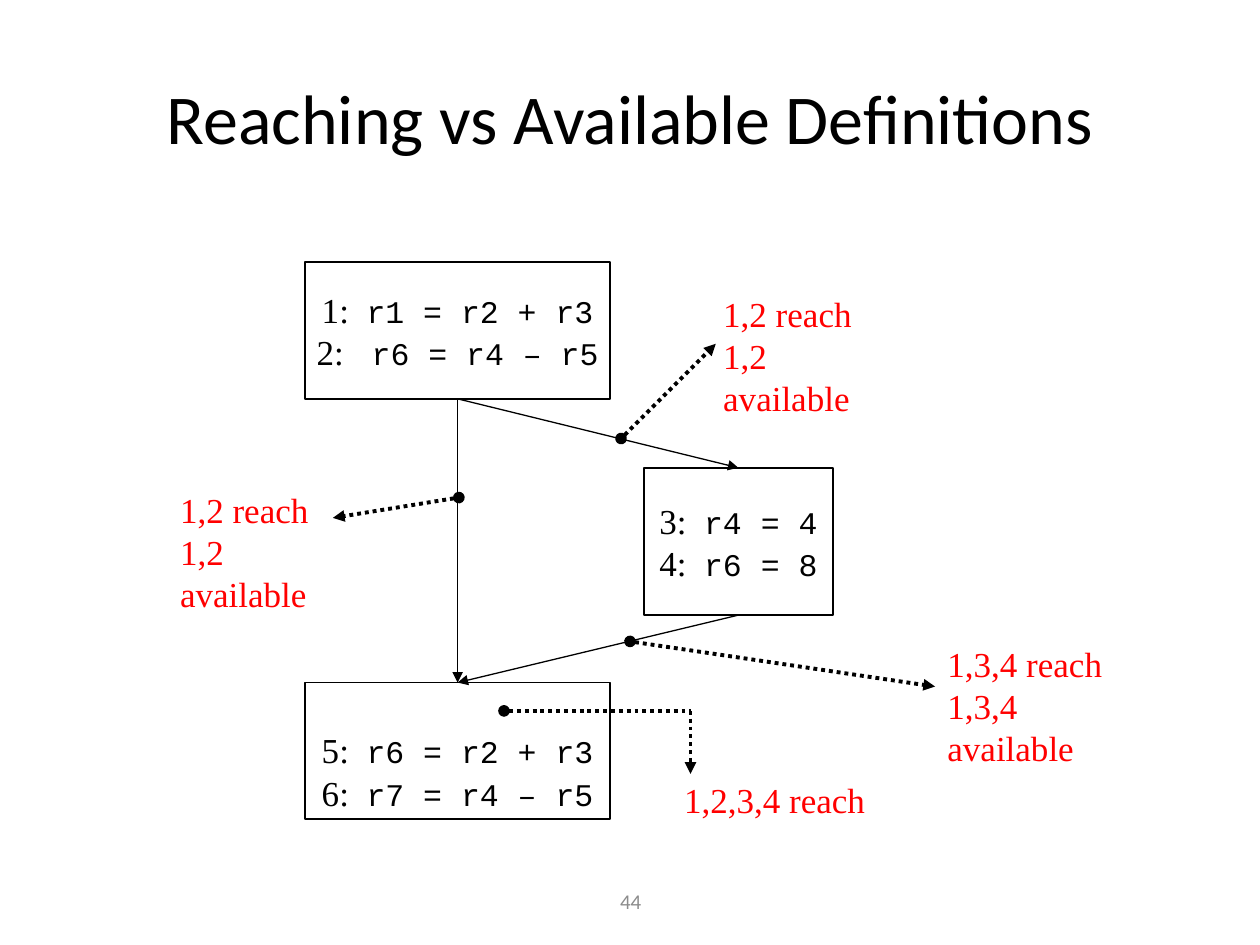
from lxml import etree
from pptx import Presentation
from pptx.dml.color import RGBColor
from pptx.enum.dml import MSO_LINE
from pptx.enum.shapes import MSO_CONNECTOR, MSO_SHAPE
from pptx.enum.text import MSO_ANCHOR, PP_ALIGN
from pptx.oxml.ns import qn
from pptx.util import Cm, Pt

STRAIGHT = MSO_CONNECTOR.STRAIGHT
RECTANGLE = MSO_SHAPE.RECTANGLE
DOTTED = MSO_LINE.ROUND_DOT
MIDDLE = MSO_ANCHOR.MIDDLE
TOP_ANCHOR = MSO_ANCHOR.TOP
CENTER = PP_ALIGN.CENTER
LEFT = PP_ALIGN.LEFT
TOP_SIDE, BOTTOM_SIDE = 0, 2


def color(value):
    return RGBColor.from_string(value)


class FlowSlide:
    """Style of the flow diagram and the slide it is drawn on."""

    heading_font = "Calibri"
    label_font = "Times New Roman"
    code_font = "Courier New"
    ink = "000000"
    accent = "FF0000"
    muted = "8C8C8C"

    def __init__(self, slide):
        self.slide = slide

    def format_run(self, run, font, size, ink):
        run.font.name = font
        run.font.size = Pt(size)
        run.font.color.rgb = color(ink)

    def title(self, text, left, top, width, height):
        shape = self.slide.shapes.title
        shape.left, shape.top = Cm(left), Cm(top)
        shape.width, shape.height = Cm(width), Cm(height)
        shape.text_frame.text = text
        shape.text_frame.vertical_anchor = MIDDLE
        paragraph = shape.text_frame.paragraphs[0]
        paragraph.alignment = CENTER
        self.format_run(paragraph.runs[0], self.heading_font, 40, self.ink)

    def text(self, lines, left, top, width, height, font, size, ink,
             alignment=LEFT, anchor=TOP_ANCHOR):
        box = self.slide.shapes.add_textbox(Cm(left), Cm(top), Cm(width), Cm(height))
        frame = box.text_frame
        frame.word_wrap = True
        frame.vertical_anchor = anchor
        frame.text = "\n".join(lines)
        for paragraph in frame.paragraphs:
            paragraph.alignment = alignment
            self.format_run(paragraph.runs[0], font, size, ink)

    def note(self, lines, left, top, width):
        self.text(lines, left, top, width, 1.96, self.label_font, 20, self.accent)

    def block(self, lines, left, top, width, height, top_margin=0.13):
        """Draw a basic block; each line is a pair of label and code."""
        shape = self.slide.shapes.add_shape(
            RECTANGLE, Cm(left), Cm(top), Cm(width), Cm(height))
        shape.shadow.inherit = False
        shape.fill.background()
        shape.line.color.rgb = color(self.ink)
        shape.line.width = Pt(1)
        frame = shape.text_frame
        frame.word_wrap = False
        frame.vertical_anchor = MIDDLE
        frame.margin_top = Cm(top_margin)
        for index, (label, code) in enumerate(lines):
            paragraph = frame.add_paragraph() if index else frame.paragraphs[0]
            paragraph.alignment = CENTER
            for text, font, size in ((label, self.label_font, 20),
                                     (code, self.code_font, 18)):
                run = paragraph.add_run()
                run.text = text
                self.format_run(run, font, size, self.ink)
        return shape

    def line(self, start, end, width, dash=None, head=None, tail=None):
        connector = self.slide.shapes.add_connector(
            STRAIGHT, *(Cm(value) for value in (*start, *end)))
        connector.line.color.rgb = color(self.ink)
        connector.line.width = Pt(width)
        if dash is not None:
            connector.line.dash_style = dash
        properties = connector.element.spPr
        outline = properties.find(qn("a:ln"))
        for tag, kind in (("a:headEnd", head), ("a:tailEnd", tail)):
            if kind:
                etree.SubElement(outline, qn(tag)).set("type", kind)
        etree.SubElement(properties, qn("a:effectLst"))
        return connector

    def flow(self, source, target):
        connector = self.line((0, 0), (0, 0), 0.75, tail="triangle")
        connector.begin_connect(source, BOTTOM_SIDE)
        connector.end_connect(target, TOP_SIDE)

    def pointer(self, start, end, head="oval", tail="triangle"):
        self.line(start, end, 2.25, DOTTED, head, tail)


def main():
    presentation = Presentation()
    presentation.slide_width = Cm(25.4)
    presentation.slide_height = Cm(19.05)
    slide = presentation.slides.add_slide(presentation.slide_layouts[5])
    diagram = FlowSlide(slide)

    diagram.title("Reaching vs Available Definitions", 1.27, 0.76, 22.86, 3.18)
    diagram.text(["44"], 8.69, 17.65, 8.05, 1.02, diagram.heading_font, 12,
                 diagram.muted, CENTER, MIDDLE)

    entry = diagram.block([("1:  ", "r1 = r2 + r3"), ("2: ", " r6 = r4 – r5")],
                          6.15, 5.29, 6.15, 2.75)
    branch = diagram.block([("3:  ", "r4 = 4"), ("4:  ", "r6 = 8")],
                           12.98, 9.43, 3.81, 2.97)
    merge = diagram.block([("5:  ", "r6 = r2 + r3"), ("6:  ", "r7 = r4 – r5")],
                          6.15, 13.76, 6.15, 2.75, top_margin=0.94)

    for source, target in ((entry, merge), (entry, branch), (branch, merge)):
        diagram.flow(source, target)

    diagram.pointer((12.52, 8.84), (14.43, 6.93))
    diagram.pointer((9.25, 10.03), (6.71, 10.44))
    diagram.pointer((12.7, 12.93), (18.85, 13.84))
    corner = (13.92, 14.33)
    diagram.pointer((10.16, 14.33), corner, tail=None)
    diagram.pointer(corner, (13.92, 15.6), head=None)

    first_two = ["1,2 reach", "1,2 available"]
    diagram.note(first_two, 14.33, 5.77, 4)
    diagram.note(first_two, 3.38, 9.73, 4)
    diagram.note(["1,3,4 reach", "1,3,4 available"], 18.85, 12.83, 4.5)
    diagram.note(["1,2,3,4 reach"], 13.54, 15.57, 4.3)

    presentation.save("out.pptx")


if __name__ == "__main__":
    main()
